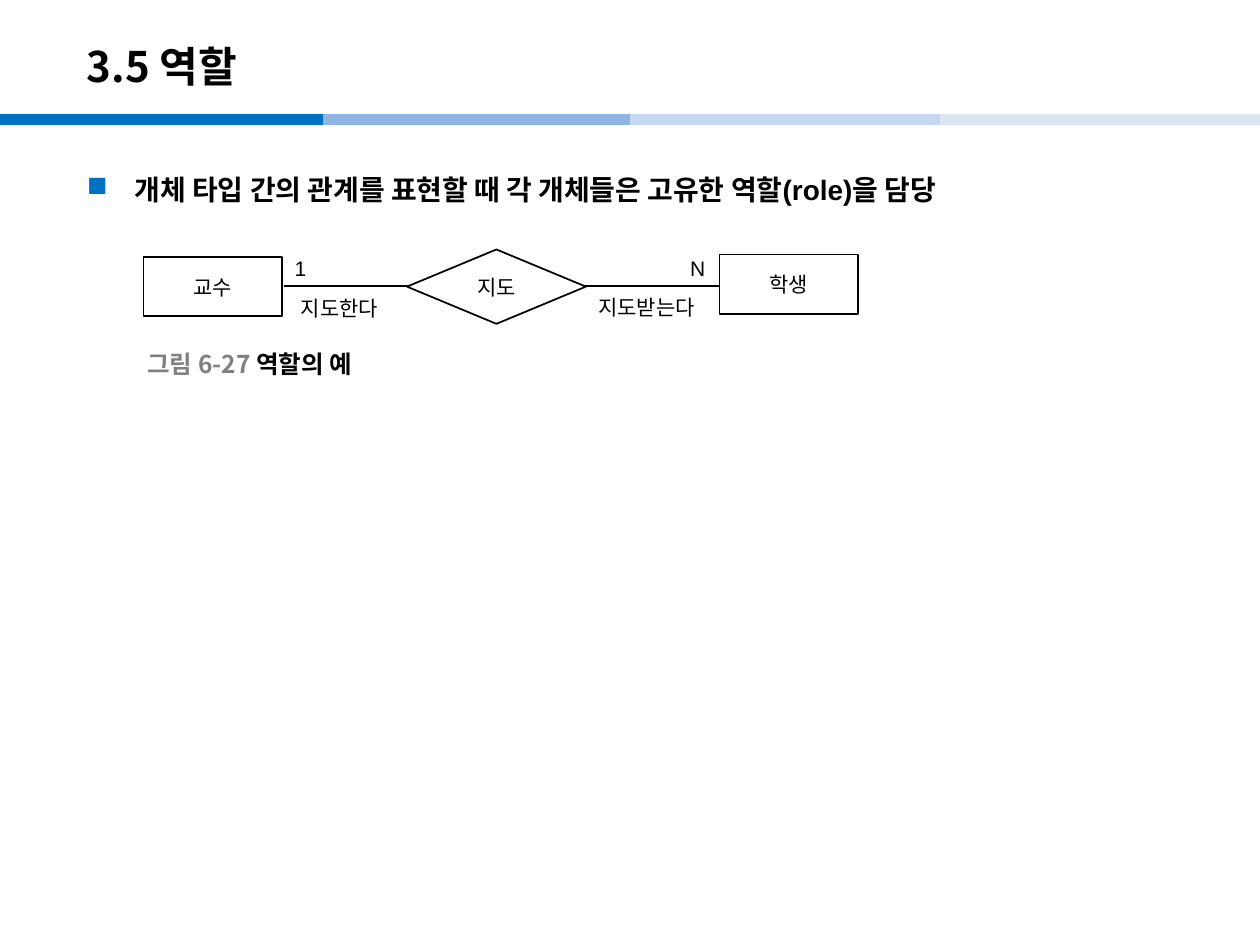
from dataclasses import dataclass
from typing import Any, NamedTuple

from lxml import etree
from pptx import Presentation
from pptx.dml.color import RGBColor
from pptx.enum.shapes import MSO_CONNECTOR, MSO_SHAPE
from pptx.enum.text import MSO_ANCHOR, MSO_AUTO_SIZE, PP_ALIGN
from pptx.oxml.ns import qn
from pptx.util import Inches, Pt

LINE = MSO_CONNECTOR.STRAIGHT
RECT = MSO_SHAPE.RECTANGLE
DIAMOND = MSO_SHAPE.FLOWCHART_DECISION
MIDDLE, TOP = MSO_ANCHOR.MIDDLE, MSO_ANCHOR.TOP
CENTER = PP_ALIGN.CENTER
GROW, FIXED = MSO_AUTO_SIZE.SHAPE_TO_FIT_TEXT, MSO_AUTO_SIZE.NONE
COLS, ROWS = 100, 75
WIDE, HIGH = Inches(10), Inches(7.5)


@dataclass(frozen=True)
class Theme:
    latin: str = "Arial"
    hangul: str = "Noto Sans CJK KR"
    ink: str = "000000"
    paper: str = "FFFFFF"
    gray: str = "808080"
    blue: str = "0070C0"
    bands: tuple[str, ...] = ("0070C0", "8EB4E3", "C6D9F1", "DCE6F2")
    title: int = 24
    body: int = 16
    caption: int = 14
    label: int = 12
    band: float = 6
    edge: float = 1
    link: float = 0.75


class Box(NamedTuple):
    col: float
    row: float
    cols: float
    rows: float


class Node(NamedTuple):
    kind: Any
    text: str
    box: Box


class Label(NamedTuple):
    text: str
    box: Box


THEME = Theme()
BAND_COLS = 25.6
BAND_ROW = 9.5
BAND_STARTS = (0, 25.6, 50, 74.6)
LINK_ROW = 22.7
NODES = (
    Node(DIAMOND, "지도", Box(32.3, 19.8, 14.2, 5.9)),
    Node(RECT, "교수", Box(11.4, 20.4, 11, 4.7)),
    Node(RECT, "학생", Box(57.1, 20.2, 11, 4.7)),
)
LABELS = (
    Label("지도받는다", Box(46.5, 22.9, 10.4, 3)),
    Label("지도한다", Box(22.9, 23, 8.8, 3)),
    Label("1", Box(22.4, 19.8, 2.9, 3)),
    Label("N", Box(53.8, 19.8, 3.3, 3)),
)


def across(cols: float) -> int:
    return round(WIDE * cols / COLS)


def down(rows: float) -> int:
    return round(HIGH * rows / ROWS)


def place(box: Box) -> tuple[int, int, int, int]:
    return across(box.col), down(box.row), across(box.cols), down(box.rows)


def style(font: Any, face: str, size: int, bold: bool = False) -> None:
    font.name, font.size, font.bold = face, Pt(size), bold
    font.color.rgb = RGBColor.from_string(THEME.ink)


def rule(shapes: Any, start: float, end: float, row: float,
         color: str, width: float) -> None:
    line = shapes.add_connector(LINE, across(start), down(row), across(end), down(row))
    line.line.color.rgb = RGBColor.from_string(color)
    line.line.width = Pt(width)
    etree.SubElement(line._element.spPr, qn("a:effectLst"))


def write(shapes: Any, box: Box, texts: tuple[str, ...], face: str, size: int,
          bold: bool = False, wrap: bool = True, anchor: Any = TOP) -> Any:
    frame = shapes.add_textbox(*place(box)).text_frame
    frame.word_wrap = wrap
    frame.auto_size = FIXED if wrap else GROW
    frame.vertical_anchor = anchor
    para = frame.paragraphs[0]
    for text in texts:
        para.add_run().text = text
    style(para.font, face, size, bold)
    return para


def bullet(para: Any, color: str, mark: str, indent: int) -> None:
    props = para._p.get_or_add_pPr()
    props.set("marL", str(indent))
    props.set("indent", str(-indent))
    tint = etree.Element(qn("a:buClr"))
    etree.SubElement(tint, qn("a:srgbClr"), val=color)
    char = etree.Element(qn("a:buChar"), char=mark)
    spot = props.find(qn("a:defRPr"))
    spot.addprevious(tint)
    spot.addprevious(char)


def draw(shapes: Any, node: Node) -> None:
    shape = shapes.add_shape(node.kind, *place(node.box))
    shape.shadow.inherit = False
    shape.fill.solid()
    shape.fill.fore_color.rgb = RGBColor.from_string(THEME.paper)
    shape.line.color.rgb = RGBColor.from_string(THEME.ink)
    shape.line.width = Pt(THEME.edge)
    frame = shape.text_frame
    frame.vertical_anchor = MIDDLE
    para = frame.paragraphs[0]
    para.alignment = CENTER
    para.add_run().text = node.text
    style(para.font, THEME.hangul, THEME.label)


def main() -> None:
    deck = Presentation()
    deck.slide_width, deck.slide_height = WIDE, HIGH
    shapes = deck.slides.add_slide(deck.slide_layouts[6]).shapes

    for start, color in zip(BAND_STARTS, THEME.bands):
        rule(shapes, start, start + BAND_COLS, BAND_ROW, color, THEME.band)

    write(shapes, Box(5.9, 2.2, 82.7, 6), ("3.5 역할",),
          THEME.hangul, THEME.title, bold=True, anchor=MIDDLE)
    point = write(shapes, Box(5.9, 11.9, 88.2, 59.8),
                  ("개체 타입 간의 관계를 표현할 때 각 개체들은 고유한 역할(role)을 담당",),
                  THEME.latin, THEME.body, bold=True)
    point.line_spacing = 1.5
    bullet(point, THEME.blue, "■", across(3.8))

    rule(shapes, 22.5, 57.1, LINK_ROW, THEME.ink, THEME.link)
    for node in NODES:
        draw(shapes, node)
    for label in LABELS:
        write(shapes, label.box, (label.text,), THEME.latin, THEME.label, wrap=False)

    note = write(shapes, Box(10.7, 27.3, 20.5, 3.1), ("그림 6-27 ", "역할의 예"),
                 THEME.hangul, THEME.caption, bold=True, anchor=MIDDLE)
    note.runs[0].font.color.rgb = RGBColor.from_string(THEME.gray)

    deck.save("out.pptx")


if __name__ == "__main__":
    main()
